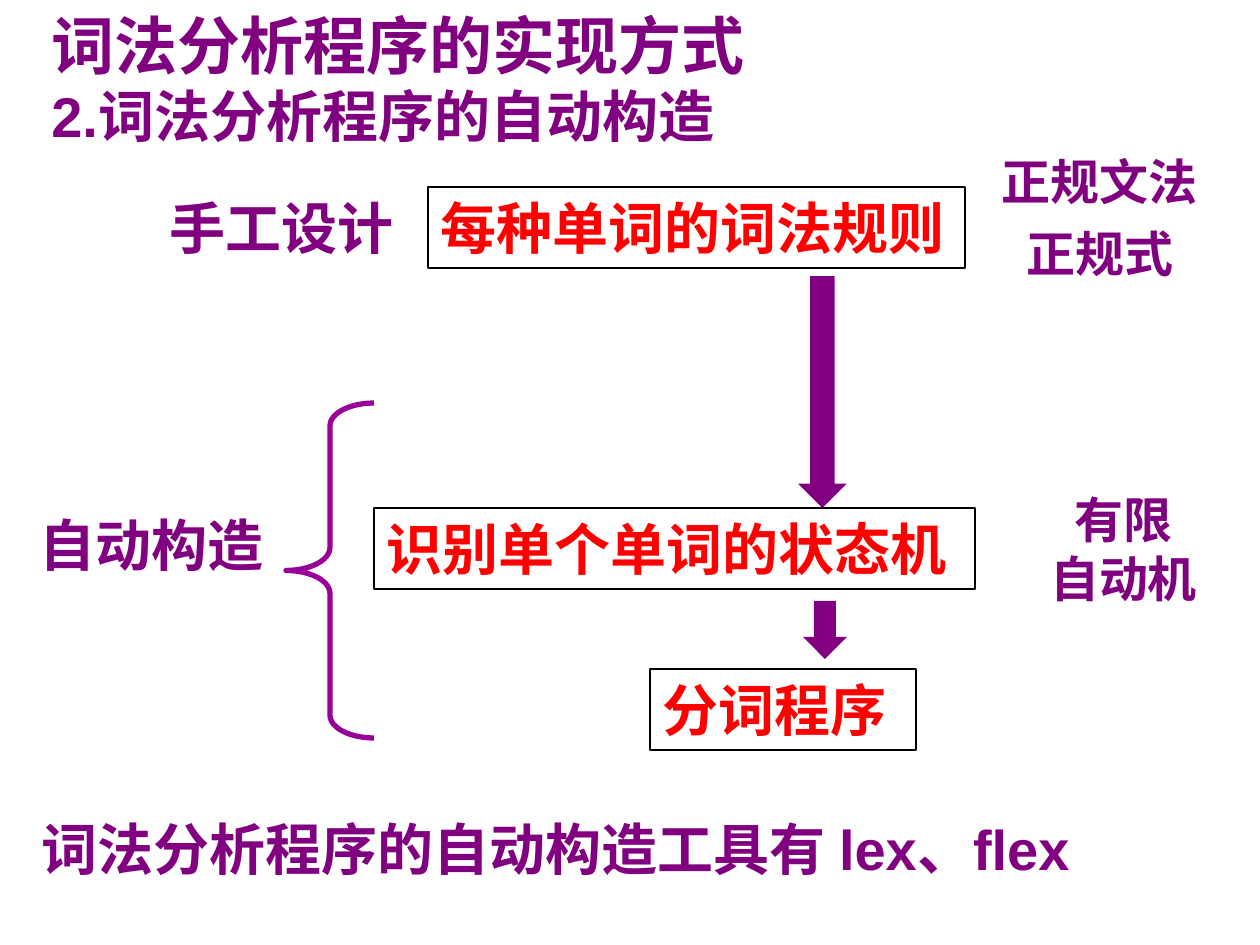
"""Build the slide on automatic construction of lexical analysers."""
import pptx
import pptx.dml.color
import pptx.enum.shapes
import pptx.enum.text
import pptx.util

PX = 914400 / 126
COLORS = {"purple": "800080", "brace": "990099", "red": "FF0000", "black": "000000"}
SHAPE = pptx.enum.shapes.MSO_SHAPE
ALIGN = pptx.enum.text.PP_ALIGN

LABELS = [
    ((39, 0, 1131, 157), [("词法分析程序的实现方式", 36), ("2.词法分析程序的自动构造", 32)], True, ALIGN.LEFT),
    ((157, 187, 252, 81), [("手工设计", 32)], False, ALIGN.LEFT),
    ((27, 504, 252, 81), [("自动构造", 32)], False, ALIGN.LEFT),
    ((29, 808, 1068, 81), [("词法分析程序的自动构造工具有 lex、flex", 32)], True, ALIGN.LEFT),
    ((989, 145, 266, 72), [("正规文法", 28)], True, ALIGN.LEFT),
    ((1014, 217, 217, 72), [("正规式", 28)], True, ALIGN.LEFT),
    ((993, 483, 261, 131), [("有限", 28), ("自动机", 28)], True, ALIGN.CENTER),
]
STAGES = [
    ((428, 187, 537, 81), "每种单词的词法规则"),
    ((374, 508, 601, 81), "识别单个单词的状态机"),
    ((650, 669, 266, 81), "分词程序"),
]
ARROWS = [(798, 276, 49, 232), (803, 601, 44, 58)]
BRACE = (286, 403, 88, 335)


def emu(place):
    return [round(value * PX) for value in place]


def color(name):
    return pptx.dml.color.RGBColor.from_string(COLORS[name])


def write(box, lines, ink, wrap=True, align=ALIGN.LEFT):
    frame = box.text_frame
    settings = {"word_wrap": wrap, "vertical_anchor": pptx.enum.text.MSO_ANCHOR.TOP}
    for name, value in settings.items():
        setattr(frame, name, value)
    for index, (text, size) in enumerate(lines):
        para = frame.add_paragraph() if index else frame.paragraphs[0]
        para.alignment = align
        span = para.add_run()
        span.text = text
        font = {"name": "Arial", "size": pptx.util.Pt(size), "bold": True}
        for name, value in font.items():
            setattr(span.font, name, value)
        span.font.color.rgb = color(ink)


def add_shape(slide, kind, place, fill=None, line=None, width=1):
    shape = slide.shapes.add_shape(kind, *emu(place))
    shape.shadow.inherit = False
    if fill:
        shape.fill.solid()
        shape.fill.fore_color.rgb = color(fill)
    else:
        shape.fill.background()
    if line:
        shape.line.color.rgb = color(line)
        shape.line.width = pptx.util.Pt(width)
    else:
        shape.line.fill.background()
    return shape


def main():
    deck = pptx.Presentation()
    deck.slide_width, deck.slide_height = emu((1260, 945))
    slide = deck.slides.add_slide(deck.slide_layouts[6])
    for place, lines, wrap, align in LABELS:
        write(slide.shapes.add_textbox(*emu(place)), lines, "purple", wrap, align)
    for place, text in STAGES:
        write(add_shape(slide, SHAPE.RECTANGLE, place, line="black"), [(text, 32)], "red")
    for place in ARROWS:
        add_shape(slide, SHAPE.DOWN_ARROW, place, fill="purple")
    brace = add_shape(slide, SHAPE.LEFT_BRACE, BRACE, line="brace", width=3)
    brace.adjustments[0] = 0.26
    deck.save("out.pptx")


if __name__ == "__main__":
    main()
